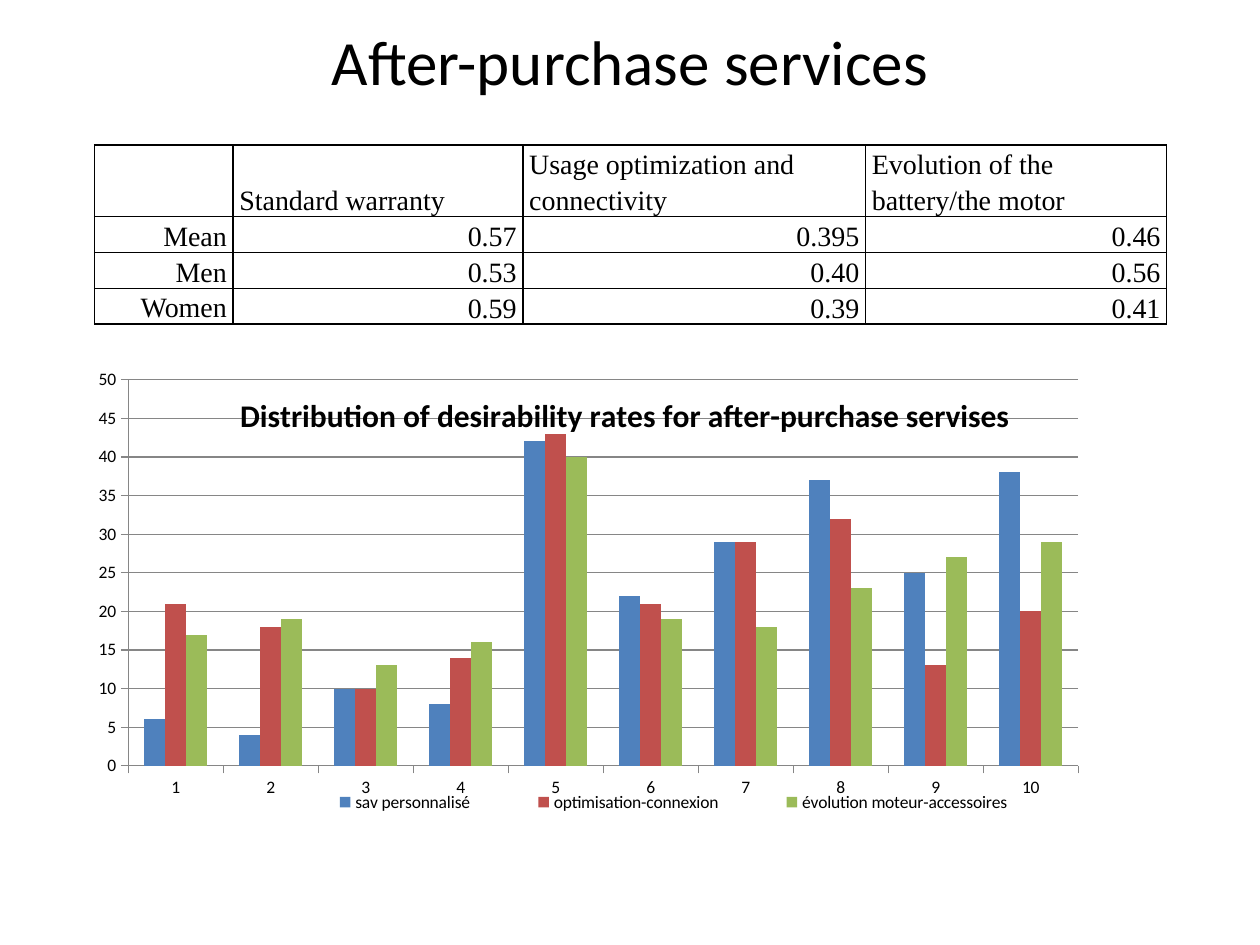
from lxml.etree import SubElement
from pptx import Presentation
from pptx.chart.data import CategoryChartData
from pptx.dml.color import RGBColor
from pptx.enum.chart import XL_CHART_TYPE as ChartType, XL_LEGEND_POSITION as LegendPos
from pptx.enum.chart import XL_TICK_MARK as TickMark
from pptx.enum.text import MSO_ANCHOR as Anchor, PP_ALIGN as Align
from pptx.oxml import parse_xml
from pptx.oxml.ns import nsdecls, qn
from pptx.util import Inches, Pt

COLORS = {"text": "000000", "border": "000000", "grid": "868686",
          "warranty": "4F81BD", "usage": "C0504D", "evolution": "9BBB59"}

RATES_TABLE = [
    ["", "Standard warranty", "Usage optimization and connectivity",
     "Evolution of the battery/the motor"],
    ["Mean", "0.57", "0.395", "0.46"],
    ["Men", "0.53", "0.40", "0.56"],
    ["Women", "0.59", "0.39", "0.41"],
]
COLUMN_WIDTHS = [1.1, 2.3, 2.72, 2.39]
ROW_HEIGHTS = [0.57, 0.28, 0.28, 0.28]
CELL_FORMAT = {"margin_left": Inches(0.05), "margin_right": Inches(0.05),
               "margin_top": 0, "margin_bottom": 0}

DISTRIBUTION = [
    ("sav personnalisé", "warranty", [6, 4, 10, 8, 42, 22, 29, 37, 25, 38]),
    ("optimisation-connexion", "usage", [21, 18, 10, 14, 43, 21, 29, 32, 13, 20]),
    ("évolution moteur-accessoires", "evolution",
     [17, 19, 13, 16, 40, 19, 18, 23, 27, 29]),
]


def rgb(name):
    return RGBColor.from_string(COLORS[name])


def set_attributes(target, values):
    for name, value in values.items():
        setattr(target, name, value)


def style_font(font, size, family, bold=False):
    set_attributes(font, {"size": Pt(size), "name": family, "bold": bold})
    font.color.rgb = rgb("text")


def add_title(slide, box, text):
    heading = slide.shapes.title
    set_attributes(heading, dict(zip(("left", "top", "width", "height"), box)))
    frame = heading.text_frame
    frame.text = text
    frame.vertical_anchor = Anchor.MIDDLE
    frame.paragraphs[0].alignment = Align.CENTER
    style_font(frame.paragraphs[0].runs[0].font, 36, "Calibri")


def add_borders(cell):
    properties = cell._tc.get_or_add_tcPr()
    for position, side in enumerate(("lnL", "lnR", "lnT", "lnB")):
        properties.insert(position, parse_xml(
            f'<a:{side} {nsdecls("a")} w="{Pt(1)}"><a:solidFill>'
            f'<a:srgbClr val="{COLORS["border"]}"/></a:solidFill></a:{side}>'))


def fill_cell(cell, text, is_header, is_label):
    set_attributes(cell, CELL_FORMAT)
    cell.vertical_anchor = Anchor.TOP if is_label else Anchor.BOTTOM
    cell.fill.background()
    add_borders(cell)
    cell.text = text
    paragraph = cell.text_frame.paragraphs[0]
    paragraph.line_spacing = 1.15
    paragraph.alignment = Align.LEFT if is_header else Align.RIGHT
    for run in paragraph.runs:
        style_font(run.font, 16, "Times New Roman")


def add_rates_table(slide, box):
    table = slide.shapes.add_table(len(ROW_HEIGHTS), len(COLUMN_WIDTHS), *box).table
    set_attributes(table, {"first_row": False, "horz_banding": False})
    for column, width in zip(table.columns, COLUMN_WIDTHS):
        column.width = Inches(width)
    for r, (row, height) in enumerate(zip(table.rows, ROW_HEIGHTS)):
        row.height = Inches(height)
        for c, text in enumerate(RATES_TABLE[r]):
            fill_cell(table.cell(r, c), text, r == 0, c == 0)


def set_layout(element, after, inner=False, **fractions):
    """Place a chart part by fractions of the chart's size."""
    for old in element.findall(qn("c:layout")):
        element.remove(old)
    layout = parse_xml(f'<c:layout {nsdecls("c")}><c:manualLayout/></c:layout>')
    manual = layout[0]
    if inner:
        SubElement(manual, qn("c:layoutTarget")).set("val", "inner")
    for mode in ("xMode", "yMode"):
        SubElement(manual, qn(f"c:{mode}")).set("val", "edge")
    for name, value in fractions.items():
        SubElement(manual, qn(f"c:{name}")).set("val", str(value))
    if after is None:
        element.insert(0, layout)
    else:
        element.find(qn(after)).addnext(layout)


def add_distribution_chart(slide, box, title):
    data = CategoryChartData()
    data.categories = [str(rate) for rate in range(1, 11)]
    for name, _, counts in DISTRIBUTION:
        data.add_series(name, counts)
    chart = slide.shapes.add_chart(ChartType.COLUMN_CLUSTERED, *box, data).chart
    style_font(chart.font, 10, "Calibri")

    # Columns
    plot = chart.plots[0]
    set_attributes(plot, {"gap_width": 150, "overlap": 0, "vary_by_categories": False})
    for series, (_, color, _) in zip(plot.series, DISTRIBUTION):
        series.format.fill.solid()
        series.format.fill.fore_color.rgb = rgb(color)
    set_layout(chart._chartSpace.chart.plotArea, None, inner=True,
               x=0.041, y=0.034, w=0.887, h=0.778)

    # Axes
    set_attributes(chart.value_axis, {"minimum_scale": 0, "maximum_scale": 50,
                                      "major_unit": 5, "has_major_gridlines": True})
    for axis in (chart.category_axis, chart.value_axis):
        axis.major_tick_mark = TickMark.OUTSIDE
        axis.format.line.color.rgb = rgb("grid")
    chart.value_axis.major_gridlines.format.line.color.rgb = rgb("grid")

    # Title over the plot
    heading = chart.chart_title
    heading.text_frame.text = title
    style_font(heading.text_frame.paragraphs[0].runs[0].font, 18, "Calibri", bold=True)
    heading.include_in_layout = True
    set_layout(heading._element, "c:tx", x=0.14, y=0.05)

    # Legend under the plot
    chart.has_legend = True
    set_attributes(chart.legend, {"position": LegendPos.RIGHT, "include_in_layout": False})
    set_layout(chart.legend._element, "c:legendPos", x=0.18, y=0.86, w=0.74, h=0.05)


def main():
    deck = Presentation()
    set_attributes(deck, {"slide_width": Inches(10), "slide_height": Inches(7.5)})
    slide = deck.slides.add_slide(deck.slide_layouts[5])
    add_rates_table(slide, [Inches(n) for n in (0.75, 1.15, 8.5, 1.41)])
    add_title(slide, [Inches(n) for n in (0.5, 0.05, 9, 0.85)],
              "After-purchase services")
    add_distribution_chart(slide, [Inches(n) for n in (0.67, 2.88, 8.5, 3.94)],
                           "Distribution of desirability rates for after-purchase servises")
    deck.save("out.pptx")


if __name__ == "__main__":
    main()
